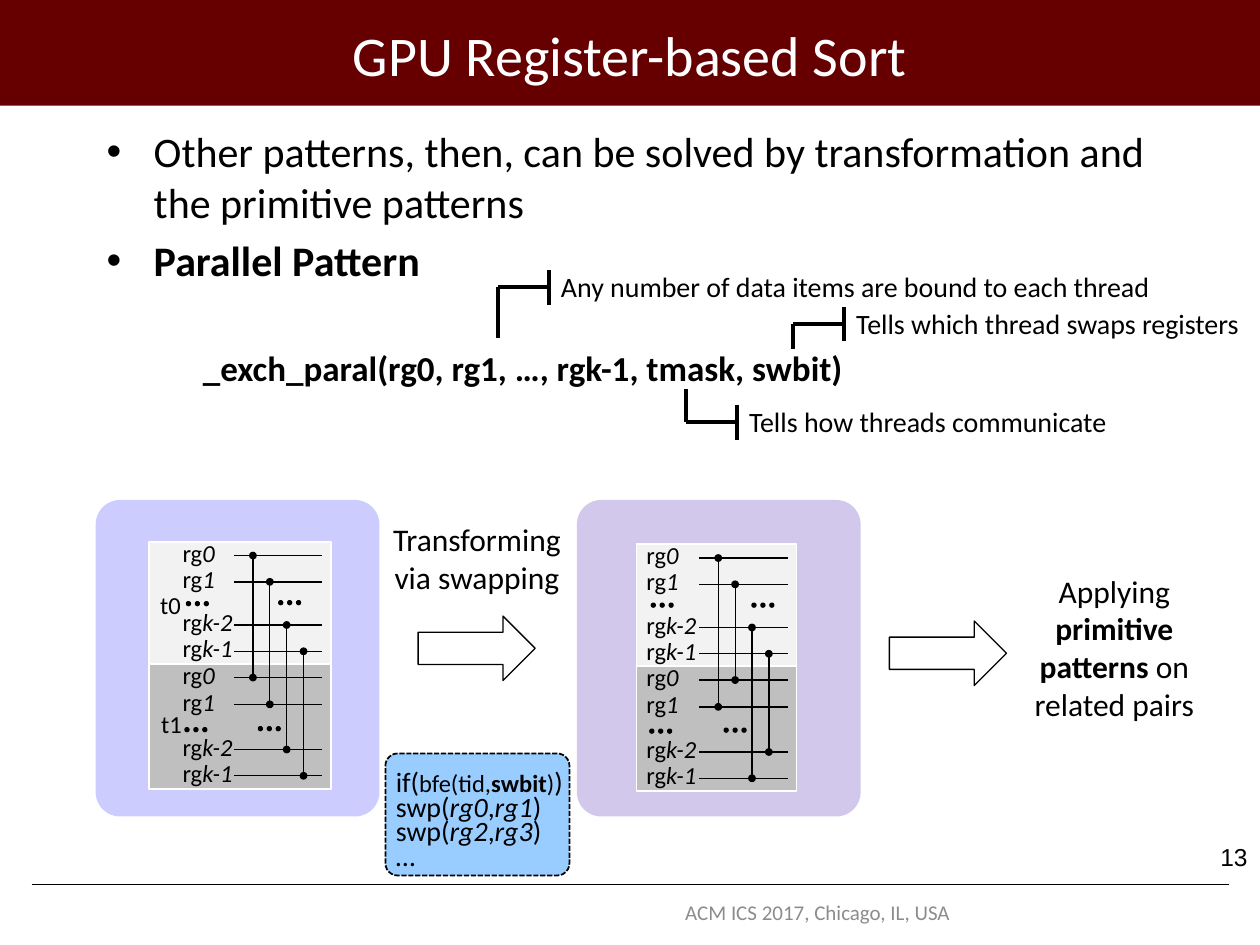
from lxml.etree import SubElement as Sub
from pptx import Presentation as Deck
from pptx.dml.color import RGBColor as Rgb
from pptx.enum.dml import MSO_LINE as Dash
from pptx.enum.shapes import MSO_CONNECTOR as Link, MSO_SHAPE as Geo
from pptx.enum.text import MSO_ANCHOR as Anchor, PP_ALIGN as Align
from pptx.oxml.ns import qn
from pptx.util import Cm, Pt

BLACK, WHITE = "000000", "FFFFFF"
MID = {"alignment": Align.CENTER}
BOLD, ITAL = {"bold": True}, {"italic": True}
BARE = {f"margin_{side}": 0 for side in ("left", "top", "right", "bottom")}

# Wire heights below the top of a pad, and the names of the wires
WIRES = (0.28, 0.81, 1.68, 2.21, 2.74, 3.28, 4.19, 4.72)
NAMES = ("0", "1", "k-2", "k-1") * 2


def paint(color, code):
    color.rgb = Rgb.from_string(code)


def apply(item, form):
    for name, value in form.items():
        setattr(item, name, value)


def write(frame, paras, size, code=BLACK, face="Calibri", para=None, **form):
    """Fill a text frame; a run is a string or a (string, format) pair."""
    apply(frame, {"word_wrap": True, **form})
    for i, runs in enumerate(paras):
        line = frame.add_paragraph() if i else frame.paragraphs[0]
        apply(line, para or {})
        for part in runs:
            words, style = (part, {}) if isinstance(part, str) else part
            run = line.add_run()
            run.text = words
            apply(run.font, {"name": face, "size": Pt(size), **style})
            paint(run.font.color, code)


def label(slide, box, paras, size, **form):
    frame = slide.shapes.add_textbox(*map(Cm, box)).text_frame
    write(frame, paras, size, **form)
    return frame


def shape(slide, kind, box, fill, edge=None, width=0.75, curve=None):
    item = slide.shapes.add_shape(kind, *map(Cm, box))
    item.shadow.inherit = False
    item.fill.solid()
    paint(item.fill.fore_color, fill)
    if edge:
        paint(item.line.color, edge)
        item.line.width = Pt(width)
    else:
        item.line.fill.background()
    if curve:
        item.adjustments[0] = curve
    return item


def line(slide, x1, y1, x2, y2, width=0.75):
    item = slide.shapes.add_connector(Link.STRAIGHT, *map(Cm, (x1, y1, x2, y2)))
    paint(item.line.color, BLACK)
    item.line.width = Pt(width)
    Sub(item._element.spPr, qn("a:effectLst"))


def dot(slide, x, y, size):
    box = (x - size / 2, y - size / 2, size, size)
    shape(slide, Geo.OVAL, box, BLACK, BLACK)


def bullet(frame):
    for para in frame.paragraphs:
        props = para._p.get_or_add_pPr()
        props.set("marL", str(Cm(0.95)))
        props.set("indent", str(-Cm(0.95)))
        Sub(props, qn("a:buFont")).set("typeface", "Arial")
        Sub(props, qn("a:buChar")).set("char", "•")


def callout(slide, x, y, end, width, words):
    """Stem from the code at height end, arm, bar and note."""
    bar = x + 1.03
    line(slide, x, y, x, end, 2.25)
    line(slide, x, y, bar, y, 2.25)
    line(slide, bar, y - 0.35, bar, y + 0.35, 2.25)
    label(slide, (bar, y - 0.48, width, 0.94), [[words]], 16, word_wrap=False)


def panel(slide, left, fill, pad, start, names, pairs, gaps):
    """Sorting net: pad is (left, top, width), pairs are the linked wires."""
    x, top, width = pad
    shape(slide, Geo.ROUNDED_RECTANGLE, (left, 10.08, 5.72, 6.38), fill, curve=0.086)
    shape(slide, Geo.RECTANGLE, (x, top + 2.44, width, 2.54), "BFBFBF", WHITE, 1)
    shape(slide, Geo.RECTANGLE, (x, top, width, 2.46), "F2F2F2", WHITE, 1)
    for step, name in zip(WIRES, NAMES):
        y = top + step
        line(slide, start, y, start + 1.78, y)
        label(slide, (names, y - 0.36, 1.19, 0.61), [["rg", (name, ITAL)]], 14, **BARE)
    for i, pair in enumerate(pairs):
        col = start + 0.38 + 0.34 * i
        ends = [top + WIRES[k] for k in pair]
        line(slide, col, ends[0], col, ends[1])
        for y in ends:
            dot(slide, col, y, 0.13)
    # Three dots where wires are left out
    for gap, down in gaps:
        for i in range(3):
            dot(slide, gap + 0.18 * i, top + down, 0.08)


def main():
    deck = Deck()
    deck.slide_width, deck.slide_height = Cm(25.4), Cm(19.05)
    slide = deck.slides.add_slide(deck.slide_layouts[5])

    # Banner, title and footer
    line(slide, 0.64, 17.83, 24.77, 17.83, 0.25)
    shape(slide, Geo.RECTANGLE, (0, 0, 25.4, 2.13), "660000")
    title = slide.shapes.title
    slide.shapes._spTree.append(title._element)
    place = map(Cm, (1.9, 0.03, 21.6, 2.11))
    apply(title, dict(zip(("left", "top", "width", "height"), place)))
    write(title.text_frame, [["GPU Register-based Sort"]], 32, WHITE, para=MID,
          vertical_anchor=Anchor.MIDDLE)
    label(slide, (24.13, 16.84, 1.27, 1.27), [["13"]], 14, face="Arial",
          para={"alignment": Align.RIGHT})
    label(slide, (12.19, 18.01, 8.59, 0.74), [["ACM ICS 2017, Chicago, IL, USA"]],
          12, code="8C8C8C", para=MID, vertical_anchor=Anchor.MIDDLE)

    # Bullets
    points = [["Other patterns, then, can be solved by transformation and "
               "the primitive patterns"], [("Parallel Pattern", BOLD)]]
    bullet(label(slide, (1.9, 2.41, 21.6, 15.11), points, 24,
                 para={"space_before": Pt(4.8)}))

    # Call with its notes
    call = "_exch_paral(rg0, rg1, …, rgk-1, tmask, swbit)"
    label(slide, (3.84, 6.86, 13.72, 1.12), [[(call, BOLD)]], 20, word_wrap=False)
    for note in (
        (10.03, 5.79, 6.81, 12.52, "Any number of data items are bound to each thread"),
        (13.82, 8.51, 7.85, 7.8, "Tells how threads communicate"),
        (15.98, 6.53, 7.04, 8.33, "Tells which thread swaps registers"),
    ):
        callout(slide, *note)

    # Nets before and after the swap
    panel(slide, 1.93, "CCCCFF", (3, 10.92, 3.68), 4.72, 3.68,
          ((0, 4), (1, 5), (2, 6), (3, 7)),
          ((3.8, 1.25), (3.77, 3.79), (5.66, 1.23), (5.25, 3.77)))
    panel(slide, 11.63, "D2C8EC", (12.83, 10.97, 3.23), 14.1, 13.03,
          ((0, 5), (1, 4), (2, 7), (3, 6)),
          ((13.17, 1.23), (13.14, 3.77), (15.2, 1.23), (14.64, 3.75)))
    for name, x, y in (("t0", 3.23, 11.89), ("t1", 3.25, 14.3)):
        label(slide, (x, y, 0.71, 0.61), [[name]], 14, **BARE)

    # Steps
    for x, y in ((8.43, 12.42), (17.93, 12.52)):
        shape(slide, Geo.RIGHT_ARROW, (x, y, 2.36, 1.3), WHITE, BLACK)
    label(slide, (7.39, 10.36, 4.45, 1.8), [["Transforming via swapping"]], 18, para=MID)
    label(slide, (20.24, 11.4, 4.45, 4.11),
          [["Applying ", ("primitive patterns ", BOLD), "on related pairs"]], 18, para=MID)

    # Swap code
    box = shape(slide, Geo.ROUNDED_RECTANGLE, (7.77, 15.19, 3.71, 2.46),
                "99CCFF", BLACK, 1, 0.1)
    box.line.dash_style = Dash.SQUARE_DOT
    small = {"size": Pt(14)}
    swaps = [["swp(", (a, ITAL), ",", (b, ITAL), ")"]
             for a, b in (("rg0", "rg1"), ("rg2", "rg3"))]
    test = ["if(", ("bfe(tid,", small), ("swbit", {**small, **BOLD}), (")", small), ")"]
    label(slide, (7.98, 15.6, 3.48, 2.03), [test, *swaps, ["…"]], 16,
          para={"line_spacing": Pt(14)}, **BARE)

    deck.save("out.pptx")


if __name__ == "__main__":
    main()
